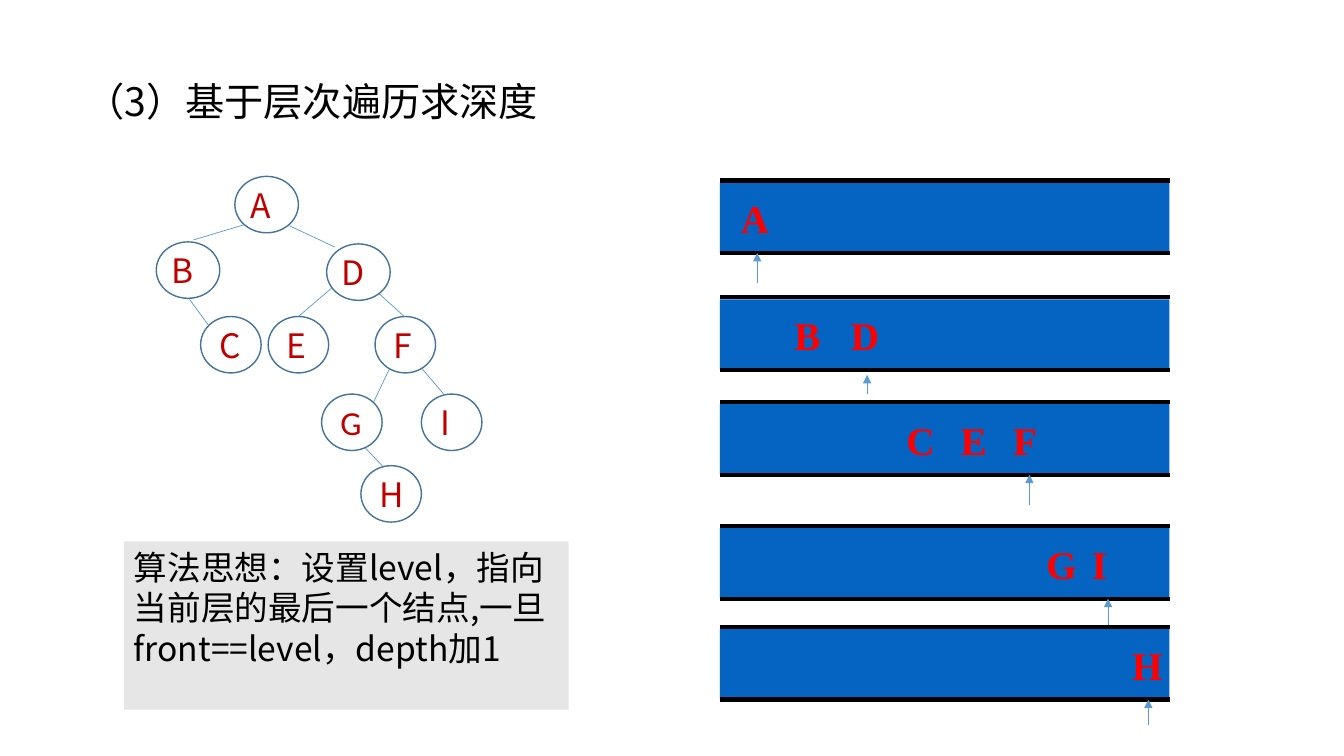
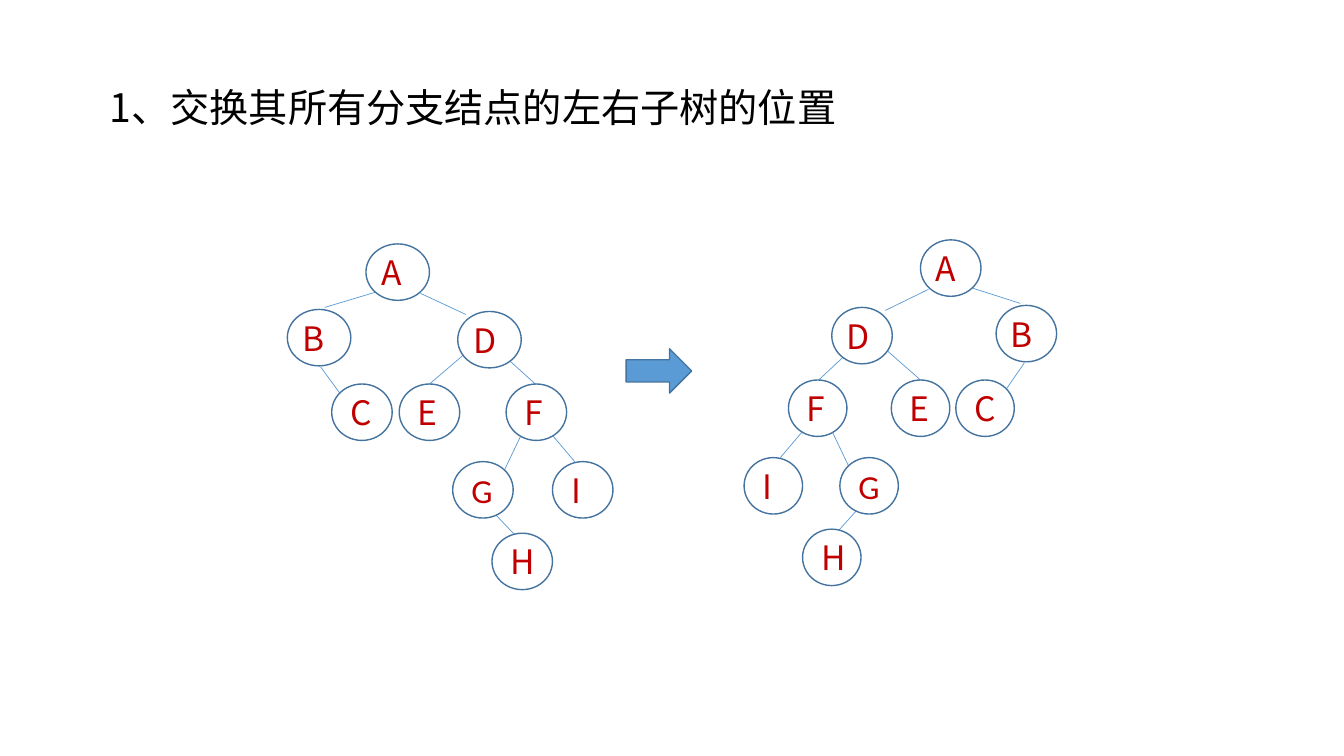
from dataclasses import dataclass

from lxml import etree
from pptx import Presentation
from pptx import util as u
from pptx.dml.color import RGBColor
from pptx.enum import shapes, text
from pptx.oxml.ns import qn

PX = 9144
SANS = "Noto Sans CJK SC"
SERIF = "Times New Roman"
BLACK = "000000"
WHITE = "FFFFFF"
BLUE = "5B9BD5"
OUTLINE = "43739E"
BAND_BLUE = "0563C1"
NODE_RED = "C00000"
QUEUE_RED = "FF0000"
NOTE_GREY = "E7E6E6"

NODE_HEIGHT = 56
TREE_WIDTH = 323
BAND_LEFT, BAND_WIDTH, BAND_HEIGHT = 714, 446, 70
LETTER_SIZE = 52


@dataclass(frozen=True)
class Rect:
    left: int
    top: int
    width: int
    height: int

    def emu(self) -> list[int]:
        return [side * PX for side in (self.left, self.top, self.width, self.height)]


@dataclass(frozen=True)
class Style:
    size: int
    color: str
    font: str = SANS
    bold: bool = False


@dataclass(frozen=True)
class Node:
    name: str
    left: int
    top: int
    width: int = 60
    font: str = SANS


@dataclass(frozen=True)
class Edge:
    x1: int
    y1: int
    x2: int
    y2: int


@dataclass(frozen=True)
class Queue:
    top: int
    letters: dict[str, int]
    pointer: int
    tip: int
    tail: int


TITLE = Style(28, BLACK)
NOTE = Style(24, BLACK)
QUEUE_LETTER = Style(28, QUEUE_RED, SERIF, True)

NODES = [
    Node("A", 78, 0, 63),
    Node("B", 0, 65, 63),
    Node("D", 169, 67, 63),
    Node("C", 44, 139),
    Node("E", 111, 139),
    Node("F", 217, 139),
    Node("G", 164, 216, font="Calibri"),
    Node("I", 263, 216),
    Node("H", 203, 287),
]
EDGES = [
    Edge(37, 63, 87, 48),
    Edge(177, 70, 132, 49),
    Edge(33, 122, 52, 148),
    Edge(141, 139, 183, 103),
    Edge(246, 139, 215, 111),
    Edge(215, 225, 236, 181),
    Edge(285, 216, 263, 190),
    Edge(206, 268, 225, 288),
]
QUEUES = [
    Queue(181, {"A": 725}, 751, 251, 281),
    Queue(297, {"B": 778, "D": 834}, 860, 372, 391),
    Queue(401, {"C": 889, "E": 943, "F": 995}, 1021, 471, 501),
    Queue(524, {"G": 1028, "I": 1073}, 1099, 594, 622),
    Queue(624, {"H": 1113}, 1139, 694, 719),
]


def rgb(color: str) -> RGBColor:
    return RGBColor.from_string(color)


def write(box, words: str, style: Style):
    frame = box.text_frame
    frame.text = words
    frame.word_wrap = True
    para = frame.paragraphs[0]
    for span in para.runs:
        span.font.size = u.Pt(style.size)
        span.font.bold = style.bold
        span.font.name = style.font
        span.font.color.rgb = rgb(style.color)
        east_asian = etree.SubElement(span.font._element, qn("a:ea"))
        east_asian.set("typeface", style.font)
    return para


def add_text(page, rect: Rect, words: str, style: Style):
    box = page.shapes.add_textbox(*rect.emu())
    write(box, words, style)
    return box


def add_title(page, rect: Rect, words: str) -> None:
    box = add_text(page, rect, words, TITLE)
    box.text_frame.vertical_anchor = text.MSO_ANCHOR.MIDDLE
    box.text_frame.paragraphs[0].line_spacing = 0.9


def add_shape(canvas, kind, rect: Rect, fill: str, outline: str | None = None):
    shape = canvas.add_shape(kind, *rect.emu())
    shape.shadow.inherit = False
    shape.fill.solid()
    shape.fill.fore_color.rgb = rgb(fill)
    if outline:
        shape.line.color.rgb = rgb(outline)
        shape.line.width = u.Pt(1)
    else:
        shape.line.fill.background()
    return shape


def add_line(canvas, edge: Edge, color: str = BLUE, weight: float = 0.5,
             arrow: bool = False) -> None:
    ends = [end * PX for end in (edge.x1, edge.y1, edge.x2, edge.y2)]
    line = canvas.add_connector(shapes.MSO_CONNECTOR.STRAIGHT, *ends)
    line.line.color.rgb = rgb(color)
    line.line.width = u.Pt(weight)
    properties = line._element.spPr
    if arrow:
        head = etree.SubElement(properties.find(qn("a:ln")), qn("a:tailEnd"))
        head.set("type", "triangle")
    etree.SubElement(properties, qn("a:effectLst"))


def add_node(canvas, node: Node, rect: Rect) -> None:
    oval = add_shape(canvas, shapes.MSO_SHAPE.OVAL, rect, WHITE, OUTLINE)
    para = write(oval, node.name, Style(24, NODE_RED, node.font))
    para.alignment = text.PP_ALIGN.JUSTIFY
    oval.text_frame.vertical_anchor = text.MSO_ANCHOR.MIDDLE
    if node.width > 60:
        oval.text_frame.margin_left = 6 * PX


def add_tree(page, left: int, top: int, width: int = TREE_WIDTH,
             mirrored: bool = False) -> None:
    canvas = page.shapes.add_group_shape().shapes
    scale = width / TREE_WIDTH

    def place(x: int) -> int:
        return left + round((TREE_WIDTH - x if mirrored else x) * scale)

    for edge in EDGES:
        add_line(canvas, Edge(place(edge.x1), top + edge.y1,
                              place(edge.x2), top + edge.y2))
    for node in NODES:
        start = place(node.left + node.width if mirrored else node.left)
        add_node(canvas, node, Rect(start, top + node.top,
                                    round(node.width * scale), NODE_HEIGHT))


def add_queue(page, queue: Queue) -> None:
    band = Rect(BAND_LEFT, queue.top, BAND_WIDTH, BAND_HEIGHT)
    add_shape(page.shapes, shapes.MSO_SHAPE.RECTANGLE, band, BAND_BLUE)
    for y in (queue.top - 2, queue.top + BAND_HEIGHT):
        rail = Edge(BAND_LEFT, y, BAND_LEFT + BAND_WIDTH, y)
        add_line(page.shapes, rail, BLACK, 3)
    for letter, left in queue.letters.items():
        add_text(page, Rect(left, queue.top + 7, LETTER_SIZE, 57), letter, QUEUE_LETTER)
    pointer = Edge(queue.pointer, queue.tail, queue.pointer, queue.tip)
    add_line(page.shapes, pointer, arrow=True)


def add_note(page, rect: Rect, words: str) -> None:
    box = add_shape(page.shapes, shapes.MSO_SHAPE.RECTANGLE, rect, NOTE_GREY)
    para = write(box, words, NOTE)
    para.alignment = text.PP_ALIGN.LEFT
    para.line_spacing = u.Pt(29)
    box.text_frame.vertical_anchor = text.MSO_ANCHOR.TOP


def build_depth(page) -> None:
    add_title(page, Rect(75, 30, 1150, 145), "（3）基于层次遍历求深度")
    add_tree(page, 155, 175)
    for queue in QUEUES:
        add_queue(page, queue)
    add_note(page, Rect(123, 537, 441, 167),
             "算法思想：设置level，指向当前层的最后一个结点,一旦front==level，depth加1")


def build_swap(page) -> None:
    add_title(page, Rect(99, 73, 950, 72), "1、交换其所有分支结点的左右子树的位置")
    add_tree(page, 285, 242)
    add_tree(page, 738, 238, 310, mirrored=True)
    add_shape(page.shapes, shapes.MSO_SHAPE.RIGHT_ARROW, Rect(621, 346, 65, 44),
              BLUE, OUTLINE)


def main() -> None:
    deck = Presentation()
    deck.slide_width = 1333 * PX
    deck.slide_height = 750 * PX
    for build in (build_depth, build_swap):
        build(deck.slides.add_slide(deck.slide_layouts[6]))
    deck.save("out.pptx")


if __name__ == "__main__":
    main()
